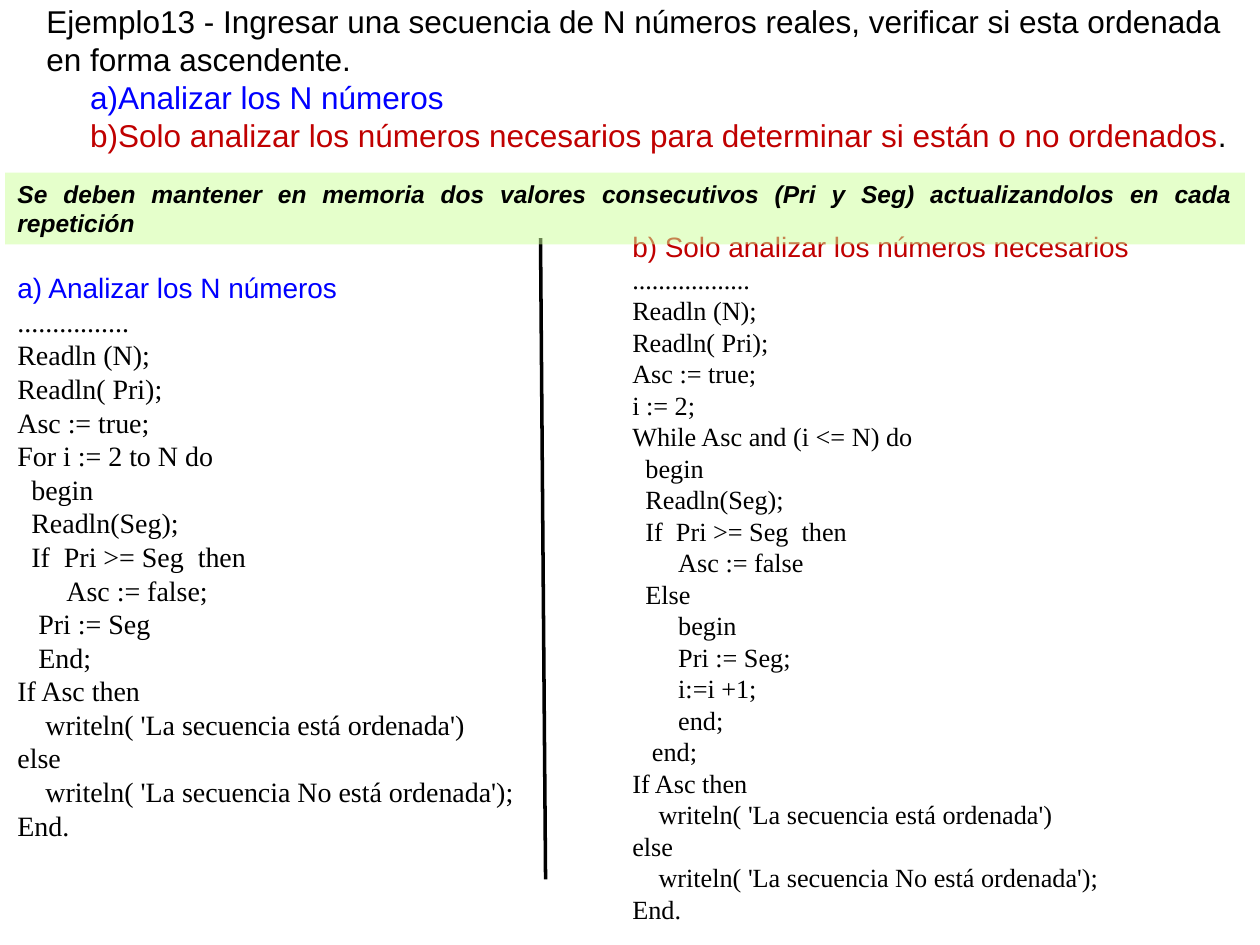
from dataclasses import dataclass

from lxml.etree import SubElement
from pptx import Presentation
from pptx.dml.color import RGBColor
from pptx.enum.shapes import MSO_CONNECTOR as Connector, MSO_SHAPE as Shape
from pptx.enum.text import MSO_ANCHOR as Anchor, MSO_AUTO_SIZE as AutoSize, PP_ALIGN as Align
from pptx.oxml.ns import qn
from pptx.util import Inches, Pt

COLORS = {
    "black": "000000",
    "blue": "0000FF",
    "red": "C00000",
    "green": "CCFF99",
}
CODE_FONT = "Times New Roman"
SPACE_EM = 0.25


@dataclass(frozen=True)
class Box:
    left: float
    top: float
    width: float
    height: float

    def lengths(self) -> tuple:
        return tuple(Inches(value) for value in (self.left, self.top, self.width, self.height))


@dataclass(frozen=True)
class Program:
    box: Box
    heading: str
    color: str
    size: float
    lines: tuple


ENDING = (
    (0, "If Asc then"),
    (4, "writeln( 'La secuencia está ordenada')"),
    (0, "else"),
    (4, "writeln( 'La secuencia No está ordenada');"),
    (0, "End."),
)
OPENING = (
    (0, "Readln (N);"),
    (0, "Readln( Pri);"),
    (0, "Asc := true;"),
)
LOOP_START = (
    (2, "begin"),
    (2, "Readln(Seg);"),
    (2, "If  Pri >= Seg  then"),
)

PROGRAMS = (
    Program(
        Box(0.04, 2.1, 4.17, 4.63), "a) Analizar los N números", "blue", 16,
        ((0, "................"),) + OPENING
        + ((0, "For i := 2 to N do"),) + LOOP_START
        + ((7, "Asc := false;"), (3, "Pri := Seg"), (3, "End;")) + ENDING,
    ),
    Program(
        Box(4.92, 1.77, 5.2, 5.62), "b) Solo analizar los números necesarios", "red", 15,
        ((0, ".................."),) + OPENING
        + ((0, "i := 2;"), (0, "While Asc and (i <= N) do")) + LOOP_START
        + (
            (7, "Asc := false"),
            (2, "Else"),
            (7, "begin"),
            (7, "Pri := Seg;"),
            (7, "i:=i +1;"),
            (7, "end;"),
            (3, "end;"),
        ) + ENDING,
    ),
)


def rgb(name: str) -> RGBColor:
    return RGBColor.from_string(COLORS[name])


def add_text(paragraph, text: str, *, size: float, font: str = "Arial", color: str = "black",
             bold: bool = False, italic: bool = False, indent: float = 0,
             align=Align.LEFT) -> None:
    paragraph.alignment = align
    if indent:
        properties = paragraph._p.get_or_add_pPr()
        properties.set("marL", str(Pt(indent)))
        properties.set("indent", "0")
    run = paragraph.add_run()
    run.text = text
    run.font.name = font
    run.font.size = Pt(size)
    run.font.bold = bold
    run.font.italic = italic
    run.font.color.rgb = rgb(color)


def prepare_frame(shape):
    frame = shape.text_frame
    frame.word_wrap = True
    frame.auto_size = AutoSize.SHAPE_TO_FIT_TEXT
    frame.vertical_anchor = Anchor.TOP
    return frame


def add_text_box(slide, box: Box):
    return prepare_frame(slide.shapes.add_textbox(*box.lengths()))


def add_statement(slide) -> None:
    frame = add_text_box(slide, Box(0.27, -0.03, 9.61, 1.3))
    add_text(
        frame.paragraphs[0],
        "Ejemplo13 - Ingresar una secuencia de N números reales, "
        "verificar si esta ordenada en forma ascendente.",
        size=18,
    )
    add_text(frame.add_paragraph(), "a)Analizar los N números", size=18, color="blue", indent=25)
    last = frame.add_paragraph()
    add_text(
        last,
        "b)Solo analizar los números necesarios para determinar si están o no ordenados",
        size=18, color="red", indent=25,
    )
    add_text(last, ".", size=18)


def add_program(slide, program: Program) -> None:
    frame = add_text_box(slide, program.box)
    add_text(frame.paragraphs[0], program.heading, size=16, color=program.color)
    for spaces, code in program.lines:
        add_text(frame.add_paragraph(), code, size=program.size, font=CODE_FONT,
                 indent=spaces * SPACE_EM * program.size)


def add_divider(slide) -> None:
    line = slide.shapes.add_connector(
        Connector.STRAIGHT, Inches(4.29), Inches(1.89), Inches(4.33), Inches(6.98))
    line.line.color.rgb = rgb("black")
    line.line.width = Pt(2)
    SubElement(line._element.spPr, qn("a:effectLst"))


def add_note_band(slide) -> None:
    band = slide.shapes.add_shape(Shape.RECTANGLE, *Box(0.04, 1.37, 9.84, 0.57).lengths())
    band.shadow.inherit = False
    band.fill.solid()
    band.fill.fore_color.rgb = rgb("green")
    color = band._element.spPr.find(qn("a:solidFill")).find(qn("a:srgbClr"))
    SubElement(color, qn("a:alpha")).set("val", "51000")
    band.line.fill.background()
    add_text(
        prepare_frame(band).paragraphs[0],
        "Se deben mantener en memoria dos valores consecutivos (Pri y Seg) "
        "actualizandolos en cada repetición",
        size=14, bold=True, italic=True, align=Align.JUSTIFY,
    )


def main() -> None:
    presentation = Presentation()
    presentation.slide_width = Inches(10)
    presentation.slide_height = Inches(7.5)
    slide = presentation.slides.add_slide(presentation.slide_layouts[6])
    add_statement(slide)
    for program in PROGRAMS:
        add_program(slide, program)
    add_divider(slide)
    add_note_band(slide)
    presentation.save("out.pptx")


if __name__ == "__main__":
    main()
